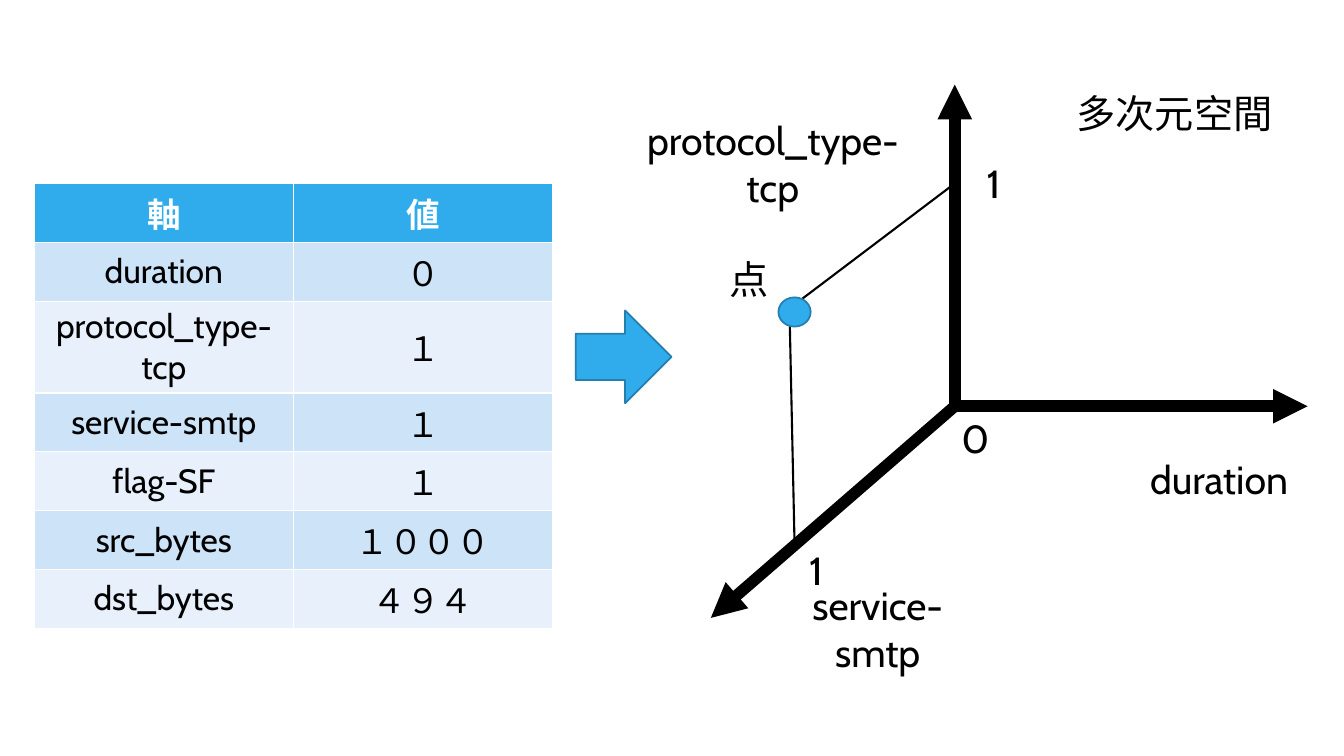
from lxml.etree import SubElement
from pptx import Presentation
from pptx.dml.color import RGBColor
from pptx.enum.shapes import MSO_CONNECTOR as CONN, MSO_SHAPE as SHAPE
from pptx.enum.text import MSO_ANCHOR as ANCHOR, PP_ALIGN as ALIGN
from pptx.oxml.ns import qn
from pptx.util import Inches, Pt

FONT = "Cabin"
BLACK, WHITE, BLUE, EDGE = "000000", "FFFFFF", "30ACEC", "247FAF"
BANDS = ["CDE3F8", "E8F1FB"]
ROWS = [("軸", "値"), ("duration", "０"), ("protocol_type-tcp", "１"),
        ("service-smtp", "１"), ("flag-SF", "１"),
        ("src_bytes", "１０００"), ("dst_bytes", "４９４")]


def rgb(value):
    return RGBColor.from_string(value)


def write(tf, text, size=28, color=BLACK, bold=False, align=ALIGN.CENTER):
    p = tf.paragraphs[0]
    p.alignment = align
    r = p.add_run()
    r.text = text
    r.font.name, r.font.size, r.font.bold = FONT, Pt(size), bold
    r.font.color.rgb = rgb(color)


def add_label(s, text, x, y, w, h=0.57, wrap=True, **fmt):
    tf = s.shapes.add_textbox(*map(Inches, (x, y, w, h))).text_frame
    tf.word_wrap = wrap
    write(tf, text, **fmt)


def add_line(s, start, end, width, arrow=False):
    line = s.shapes.add_connector(CONN.STRAIGHT, *map(Inches, (*start, *end)))
    line.line.color.rgb = rgb(BLACK)
    line.line.width = Pt(width)
    if arrow:
        SubElement(line.line._get_or_add_ln(), qn("a:tailEnd"), type="triangle")
    SubElement(line._element.spPr, qn("a:effectLst"))


def add_blue_shape(s, kind, x, y, w, h):
    sp = s.shapes.add_shape(kind, *map(Inches, (x, y, w, h)))
    sp.shadow.inherit = False
    sp.fill.solid()
    sp.fill.fore_color.rgb = rgb(BLUE)
    sp.line.color.rgb = rgb(EDGE)
    sp.line.width = Pt(1.25)


def add_axis_table(s, x, y, w, h):
    table = s.shapes.add_table(len(ROWS), 2, *map(Inches, (x, y, w, h))).table
    for i, row in enumerate(ROWS):
        header = i == 0
        for j, text in enumerate(row):
            cell = table.cell(i, j)
            cell.vertical_anchor = ANCHOR.MIDDLE
            cell.fill.solid()
            cell.fill.fore_color.rgb = rgb(BLUE if header else BANDS[(i - 1) % 2])
            write(cell.text_frame, text, size=24, bold=header,
                  color=WHITE if header else BLACK)


def add_space(s, x, y):
    """Draw the three axes and the point around the origin (x, y)."""
    def at(dx, dy):
        return x + dx, y + dy

    # Axes
    for tip in [(3.5, 0), (0, -3.19), (-2.42, 2.1)]:
        add_line(s, (x, y), at(*tip), 8.25, arrow=True)

    # Axis names
    add_label(s, "duration", *at(1.83, 0.44), 1.58, wrap=False)
    add_label(s, "protocol_type-tcp", *at(-3.37, -2.93), 3.13)
    add_label(s, "service-smtp", *at(-1.91, 1.69), 2.29)

    # Point and its guides to the axes
    point = at(-1.64, -0.97)
    for foot in [(-1.59, 1.34), (0, -2.21)]:
        add_line(s, at(*foot), point, 1.5)
    add_blue_shape(s, SHAPE.OVAL, *at(-1.75, -1.08), 0.32, 0.29)

    # Captions and tick values
    add_label(s, "多次元空間", *at(1.11, -3.19), 2.17, wrap=False, align=ALIGN.LEFT)
    add_label(s, "点", *at(-2.33, -1.55), 0.59, wrap=False, align=ALIGN.LEFT)
    for text, dx, dy in [("1", -1.74, 1.34), ("1", 0.02, -2.5), ("0", -0.16, 0.03)]:
        add_label(s, text, *at(dx, dy), 0.73)


def main():
    prs = Presentation()
    prs.slide_width, prs.slide_height = Inches(13.33), Inches(7.5)
    s = prs.slides.add_slide(prs.slide_layouts[6])
    add_axis_table(s, 0.34, 1.82, 5.14, 3.42)
    add_blue_shape(s, SHAPE.RIGHT_ARROW, 5.71, 3.08, 0.95, 0.92)
    add_space(s, 9.47, 4.03)
    prs.save("out.pptx")


if __name__ == "__main__":
    main()
